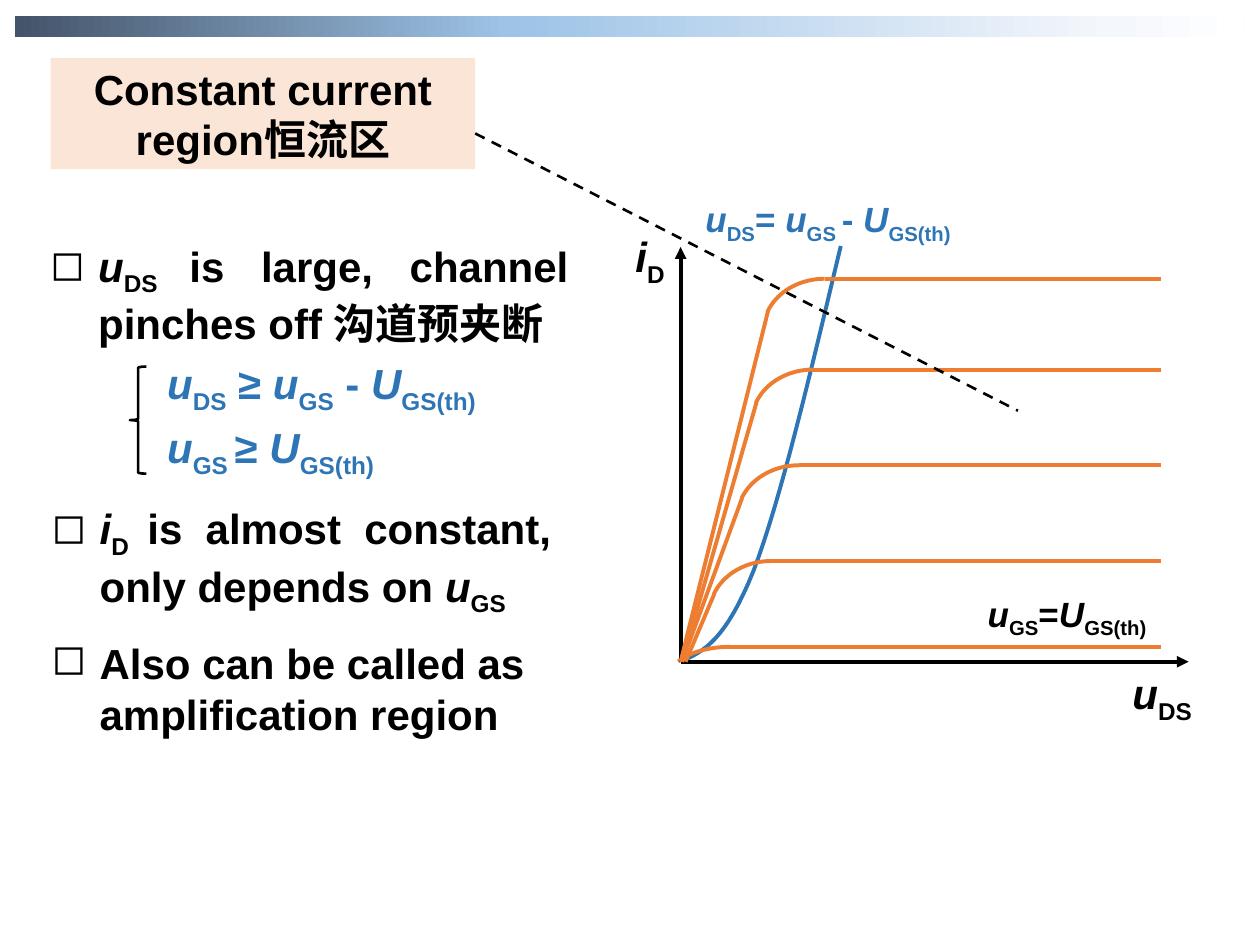
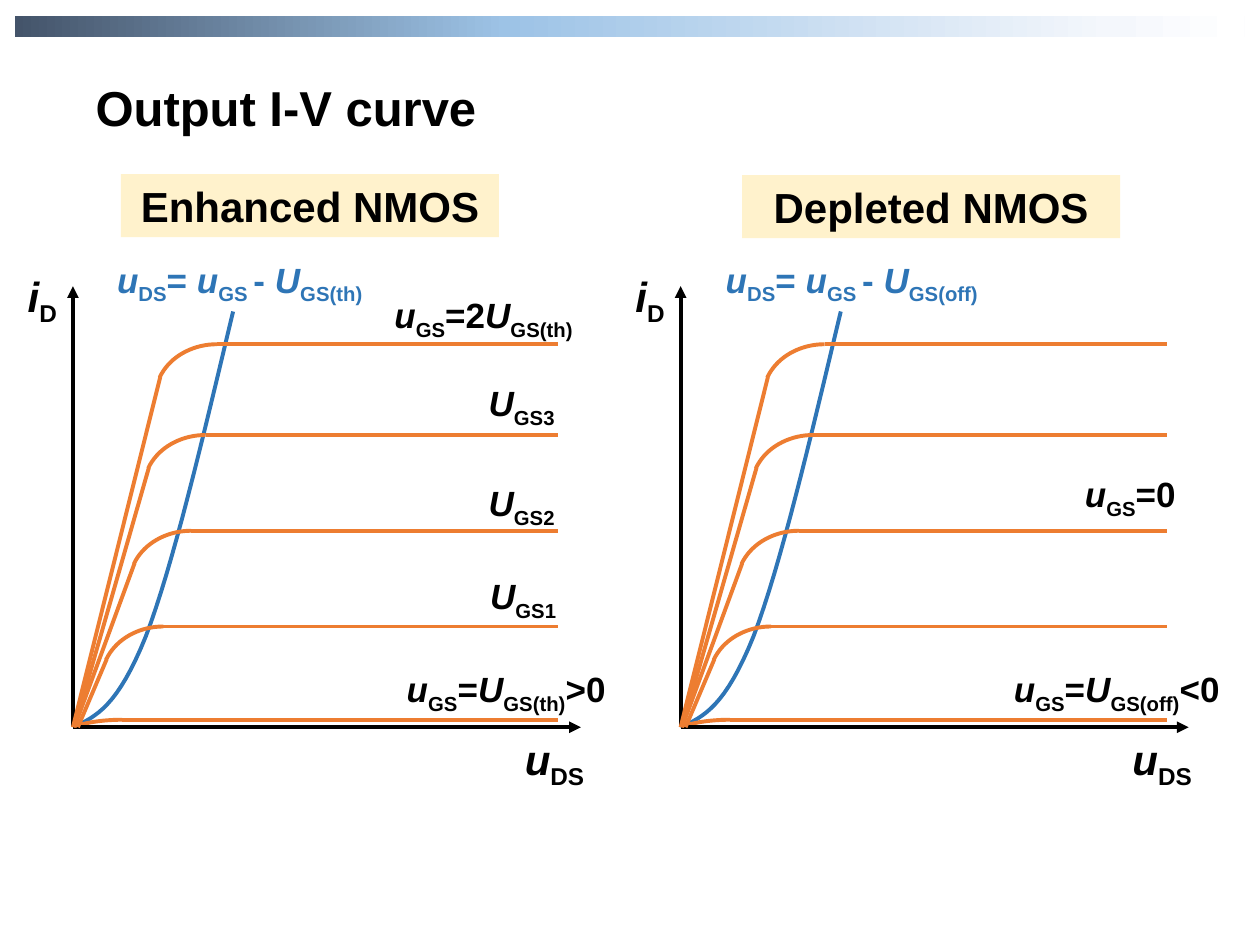
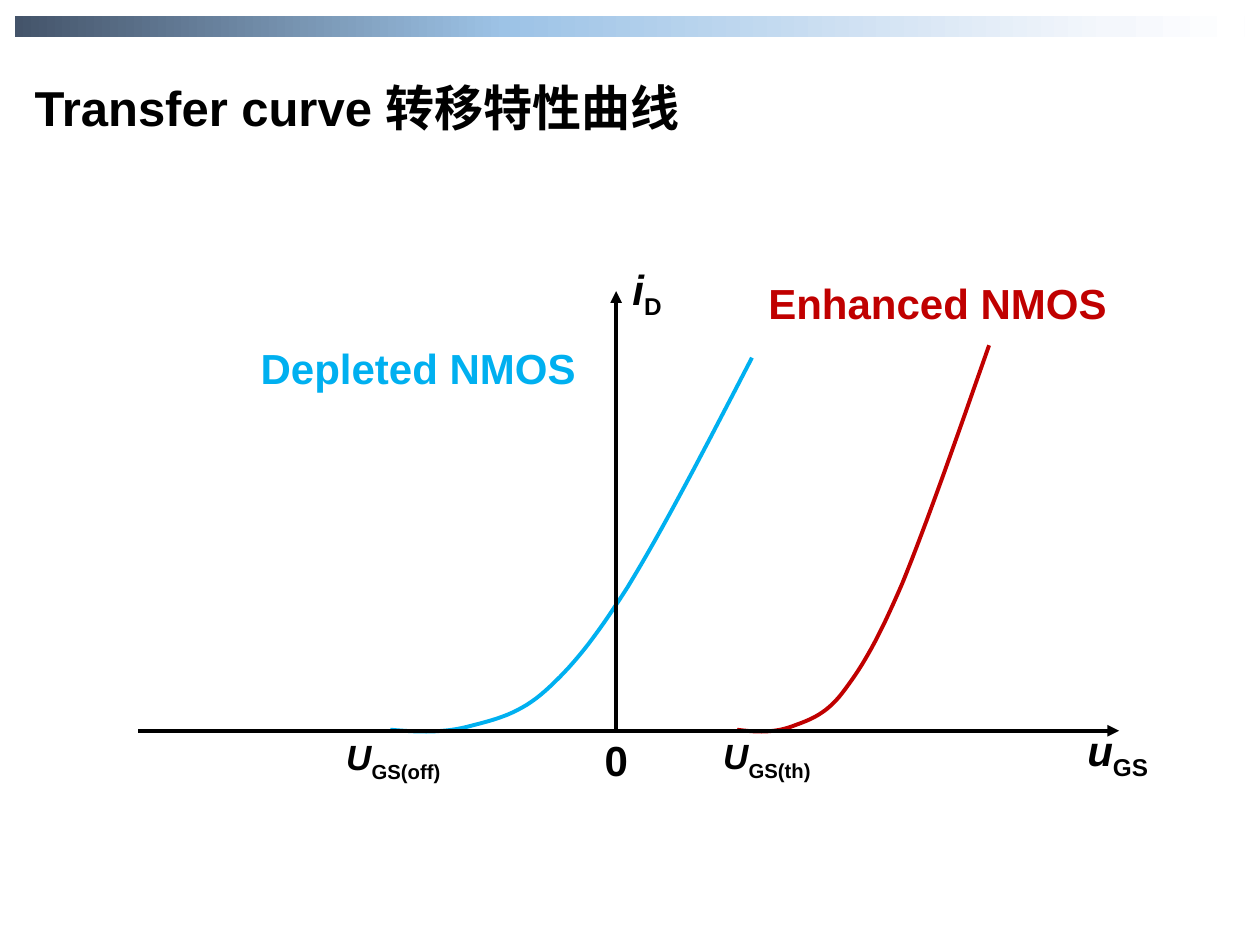
import pptx
import pptx.dml.color
import pptx.enum.dml
import pptx.enum.shapes
import pptx.enum.text
import pptx.oxml
import pptx.oxml.ns
import pptx.util
from lxml import etree

Cm = pptx.util.Cm
qn = pptx.oxml.ns.qn
RGB = pptx.dml.color.RGBColor.from_string
PRESET = pptx.enum.shapes.MSO_SHAPE
ALIGN = pptx.enum.text.PP_ALIGN
ANCHOR = pptx.enum.text.MSO_ANCHOR

COLORS = {
    "text": "000000",
    "pinch": "2E75B6",
    "output": "ED7D31",
    "enhanced": "C00000",
    "depleted": "00B0F0",
    "region": "FBE5D6",
    "device": "FFF2CC",
}
BAND_STOPS = [(0, "44546A"), (40, "9DC3E6"), (89, "F4F7FC"), (100, "FFFFFF")]
LATIN, CHINESE = "Arial", "Noto Sans CJK SC"


def write(shape, text, size, color="text", align=ALIGN.LEFT, anchor=ANCHOR.TOP):
    """Fill a shape with runs split at |, where / marks italic and _ subscript."""
    frame = shape.text_frame
    frame.word_wrap = True
    frame.vertical_anchor = anchor
    paragraph = frame.paragraphs[0]
    paragraph.alignment = align
    for piece in text.split("|"):
        run = paragraph.add_run()
        run.text = piece.lstrip("/_")
        run.font.name = LATIN
        run.font.size = pptx.util.Pt(size)
        run.font.bold = True
        run.font.italic = piece.startswith("/")
        run.font.color.rgb = RGB(COLORS[color])
        properties = run.font._element
        if piece.startswith("_"):
            properties.set("baseline", "-25000")
        etree.SubElement(properties, qn("a:ea")).set("typeface", CHINESE)
    return paragraph


def stroke(shape, color, width=2.25, arrow=False, dashed=False):
    """Give a line or an open outline its colour and width, without a shadow."""
    shape.line.color.rgb = RGB(COLORS[color])
    shape.line.width = pptx.util.Pt(width)
    if dashed:
        shape.line.dash_style = pptx.enum.dml.MSO_LINE.DASH
    properties = shape.element.spPr
    if arrow:
        etree.SubElement(properties.find(qn("a:ln")), qn("a:tailEnd")).set("type", "triangle")
    etree.SubElement(properties, qn("a:effectLst"))


deck = pptx.Presentation()
deck.slide_width, deck.slide_height = Cm(25.4), Cm(19.05)

# Slides with the gradient band and the title: text, size, place, fill
titles = [
    ("Constant current region|恒流区", 24, (1.02, 1.17, 8.56, 2.24), "region"),
    ("Output I-V curve", 28, (0.56, 1.42, 10.41, 1.45), None),
    ("Transfer curve |转移特性曲线", 28, (0.3, 1.42, 13.79, 1.45), None),
]
for text, size, place, fill in titles:
    slide = deck.slides.add_slide(deck.slide_layouts[5])
    band = slide.shapes.add_shape(PRESET.RECTANGLE, Cm(0.3), Cm(0.33), Cm(24.79), Cm(0.41))
    band.shadow.inherit = False
    band.line.fill.background()
    band.fill.gradient()
    band.fill.gradient_angle = 0
    stops = band.element.spPr.find(qn("a:gradFill")).find(qn("a:gsLst"))
    for stop in list(stops):
        stops.remove(stop)
    for percent, color in BAND_STOPS:
        stop = etree.SubElement(stops, qn("a:gs"), pos=str(percent * 1000))
        etree.SubElement(stop, qn("a:srgbClr"), val=color)

    title = slide.shapes.title
    title.left, title.top, title.width, title.height = map(Cm, place)
    title.text_frame.auto_size = pptx.enum.text.MSO_AUTO_SIZE.NONE
    write(title, text, size, align=ALIGN.CENTER, anchor=ANCHOR.MIDDLE)
    if fill:
        title.fill.solid()
        title.fill.fore_color.rgb = RGB(COLORS[fill])
region, output, transfer = deck.slides

# Output characteristics: slide, origin, axis height, curve end, lowest level and knee height
plots = [
    (region, 13.72, 13.34, 8.36, 9.68, 0.3, 1.3),
    (output, 1.47, 14.66, 8.89, 9.78, 0.15, 0.76),
    (output, 13.72, 14.66, 8.89, 9.8, 0.15, 0.76),
]
# Each curve: level, left of knee, start of ramp
saturations = [(7.72, 1.66, 0), (5.89, 1.43, 0.03), (3.96, 1.14, 0.03), (2.03, 0.58, 0.1)]
pinch_off = [(0, 0), (0.46, 0.2), (0.91, 0.43), (1.47, 1.83), (2.01, 3.23), (2.62, 5.82), (3.23, 8.38)]
KNEE_WIDTH, KNEE_HEIGHT = 2.49, 2.13

# Bezier curves: slide, colour, control points
curves = [
    (slide, "pinch", [(x + dx, y - dy) for dx, dy in pinch_off])
    for slide, x, y, *_ in plots
] + [
    (transfer, "depleted", [
        (7.87, 14.71), (8.43, 14.76), (8.97, 14.78), (9.5, 14.63), (10.01, 14.5),
        (10.49, 14.38), (11, 13.92), (11.53, 13.44), (11.94, 12.95), (12.65, 11.84),
        (13.34, 10.72), (14.25, 8.97), (15.16, 7.21)]),
    (transfer, "enhanced", [
        (14.86, 14.71), (15.24, 14.76), (15.62, 14.78), (16, 14.63), (16.36, 14.5),
        (16.69, 14.38), (17.04, 13.89), (17.4, 13.41), (17.7, 12.9), (18.19, 11.76),
        (18.67, 10.59), (19.3, 8.79), (19.94, 6.96)]),
]
STEPS = 16
for slide, color, controls in curves:
    points = []
    for first in range(0, len(controls) - 1, 3):
        ends = controls[first:first + 4]
        for step in range(1, STEPS + 1):
            t = step / STEPS
            weights = ((1 - t) ** 3, 3 * t * (1 - t) ** 2, 3 * t ** 2 * (1 - t), t ** 3)
            points.append([Cm(sum(w * end[axis] for w, end in zip(weights, ends))) for axis in (0, 1)])
    builder = slide.shapes.build_freeform(Cm(controls[0][0]), Cm(controls[0][1]))
    builder.add_line_segments(points, close=False)
    curve = builder.convert_to_shape()
    curve.fill.background()
    stroke(curve, color)

# Straight lines: slide, ends, colour, arrow
lines = [
    (transfer, (12.42, 14.73, 12.42, 5.87), "text", True),
    (transfer, (2.79, 14.73, 22.56, 14.73), "text", True),
]
for slide, x, y, axis_height, end, lowest, low_knee in plots:
    lines += [
        (slide, (x, y, x, y - axis_height), "text", True),
        (slide, (x, y, x + 10.24, y), "text", True),
    ]
    knees = [(level, left, KNEE_HEIGHT) for level, left, _ in saturations]
    for level, left, height in knees + [(lowest, -0.25, low_knee)]:
        knee = slide.shapes.add_shape(
            PRESET.ARC, Cm(x + left), Cm(y - level), Cm(KNEE_WIDTH), Cm(height))
        knee.adjustments[0], knee.adjustments[1] = 162, 204.74
        knee.element.spPr.find(qn("a:xfrm")).set("flipH", "1")
        knee.fill.background()
        stroke(knee, "output")
        flat_start = x + left + KNEE_WIDTH / 2
        lines.append((slide, (flat_start, y - level, x + end, y - level), "output", False))
    for level, left, start in saturations:
        lines.append((slide, (x + start, y, x + left + 0.1, y - level + 0.66), "output", False))

for slide, ends, color, arrow in lines:
    line = slide.shapes.add_connector(pptx.enum.shapes.MSO_CONNECTOR.STRAIGHT, *map(Cm, ends))
    stroke(line, color, arrow=arrow)

# Pointer from the region name into the flat part of the curves
pointer = region.shapes.add_connector(
    pptx.enum.shapes.MSO_CONNECTOR.STRAIGHT, Cm(9.58), Cm(2.69), Cm(20.52), Cm(8.28))
stroke(pointer, "text", 1.5, dashed=True)

# Brace in front of the two conditions
brace = region.shapes.add_shape(PRESET.LEFT_BRACE, Cm(2.62), Cm(7.39), Cm(0.33), Cm(2.16))
brace.adjustments[0], brace.adjustments[1] = 0.08, 0.5
brace.fill.background()
stroke(brace, "text", 1.5)

# Device names above the output curves
for name, left, top in [("Enhanced NMOS", 2.44, 3.51), ("Depleted NMOS", 14.96, 3.53)]:
    device = output.shapes.add_shape(PRESET.RECTANGLE, Cm(left), Cm(top), Cm(7.62), Cm(1.27))
    device.shadow.inherit = False
    device.line.fill.background()
    device.fill.solid()
    device.fill.fore_color.rgb = RGB(COLORS["device"])
    write(device, name, 24, align=ALIGN.CENTER, anchor=ANCHOR.MIDDLE)

# Labels: slide, text, left, top, width, size, colour
labels = [
    (region, "/u|_DS| ≥ |/u|_GS| - |/U|_GS(th)", 3.12, 7.09, 8.23, 24, "pinch"),
    (region, "/u|_GS |≥|/ U|_GS(th)", 3.12, 8.38, 5.79, 24, "pinch"),
    (region, "/u|_DS|= |/u|_GS |- |/U|_GS(th)", 13.97, 3.86, 5.82, 20, "pinch"),
    (region, "/u|_GS|=|/U|_GS(th)", 19.66, 11.81, 4.29, 20, "text"),
    (output, "/u|_DS|= |/u|_GS |- |/U|_GS(th)", 2.11, 5.08, 5.82, 20, "pinch"),
    (output, "/u|_DS|= |/u|_GS |- |/U|_GS(off)", 14.38, 5.08, 5.82, 20, "pinch"),
    (output, "/u|_GS|=2|/U|_GS(th)", 7.7, 5.79, 4.32, 20, "text"),
    (output, "/U|_GS3", 9.6, 7.57, 2.26, 20, "text"),
    (output, "/U|_GS2", 9.6, 9.58, 2.26, 20, "text"),
    (output, "/U|_GS1", 9.63, 11.46, 2.26, 20, "text"),
    (output, "/u|_GS|=|/U|_GS(th)|>0", 7.95, 13.34, 5.28, 20, "text"),
    (output, "/u|_GS|=0", 21.62, 9.4, 2.64, 20, "text"),
    (output, "/u|_GS|=|/U|_GS(off)|<0", 20.19, 13.34, 5.28, 20, "text"),
    (transfer, "/i|_D", 12.5, 5.18, 1.4, 24, "text"),
    (transfer, "/u|_GS", 21.67, 14.48, 2.11, 24, "text"),
    (transfer, "0", 11.94, 14.68, 2.11, 24, "text"),
    (transfer, "/U|_GS(th)", 14.33, 14.68, 2.64, 20, "text"),
    (transfer, "/U|_GS(off)", 6.73, 14.71, 2.64, 20, "text"),
    (transfer, "Enhanced NMOS", 15.09, 5.46, 7.62, 24, "enhanced"),
    (transfer, "Depleted NMOS", 4.62, 6.78, 7.62, 24, "depleted"),
]
for slide, x, y, axis_height, *_ in plots:
    labels += [
        (slide, "/i|_D", x - 1.16, y - axis_height - 0.45, 1.4, 24, "text"),
        (slide, "/u|_DS", x + 8.86, y, 2.11, 24, "text"),
    ]
for slide, text, left, top, width, size, color in labels:
    label = slide.shapes.add_textbox(Cm(left), Cm(top), Cm(width), Cm(1.3))
    write(label, text, size, color, ALIGN.CENTER if "NMOS" in text else ALIGN.LEFT)

# Bulleted statements about the region: text, place, alignment
statements = [
    ("/u|_DS |is large, channel pinches off |沟道预夹断", (0.76, 4.72, 10.95, 2.46), ALIGN.JUSTIFY),
    ("/i|_D |is almost constant, only depends on |/u|_GS", (0.79, 10.01, 10.57, 2.72), ALIGN.JUSTIFY),
    ("Also can be called as amplification region", (0.79, 12.73, 12.52, 2.24), ALIGN.LEFT),
]
for text, place, align in statements:
    statement = region.shapes.add_textbox(*map(Cm, place))
    properties = write(statement, text, 24, align=align)._p.get_or_add_pPr()
    properties.set("marL", str(Cm(0.97)))
    properties.set("indent", str(Cm(-0.97)))
    etree.SubElement(properties, qn("a:buChar")).set("char", "◻")

deck.save("out.pptx")
